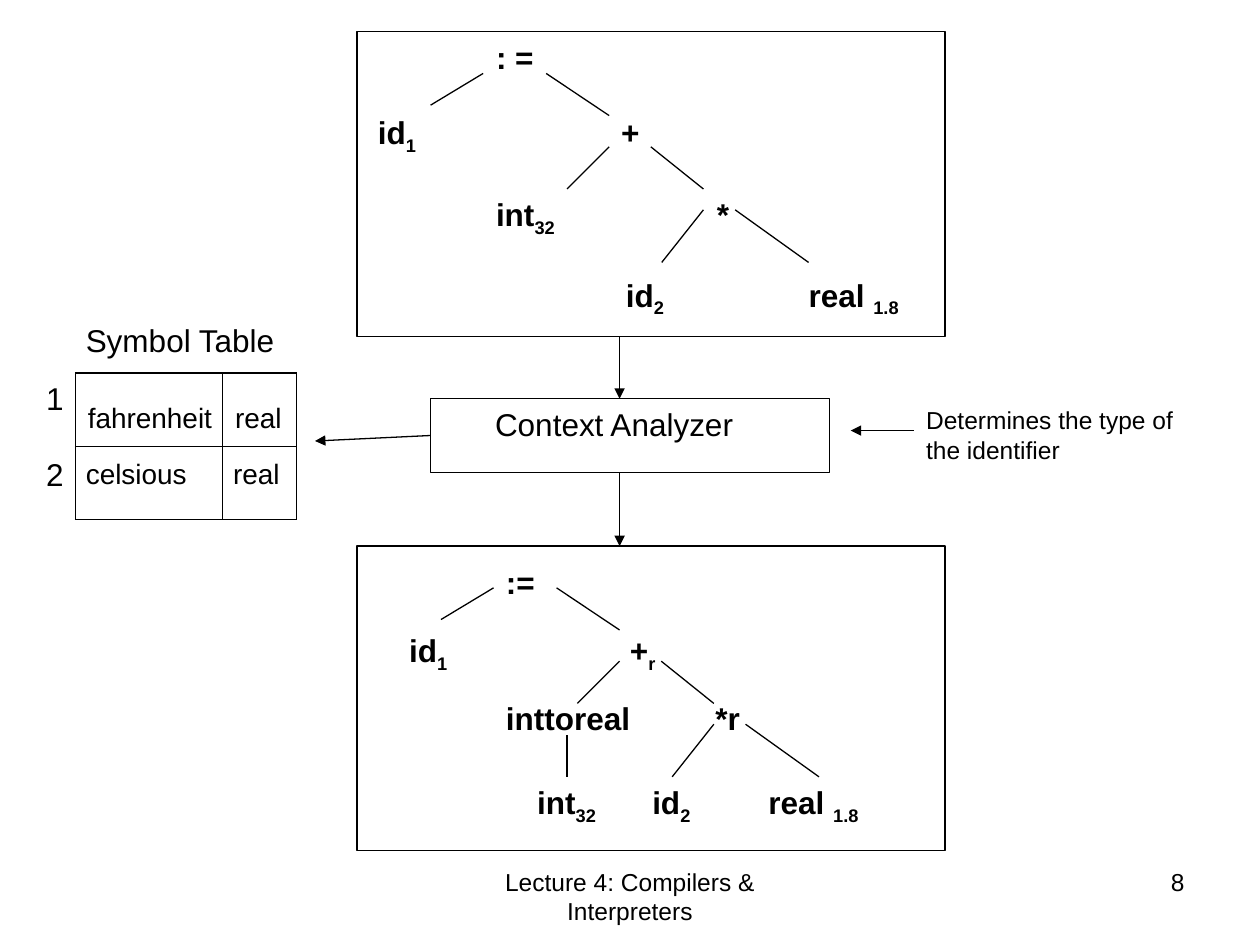
import pptx
import pptx.util
import pptx.dml.color
import pptx.enum.shapes
import pptx.enum.text
import pptx.oxml.ns
from lxml import etree

Cm, Pt, qn = pptx.util.Cm, pptx.util.Pt, pptx.oxml.ns.qn
ALIGN = pptx.enum.text.PP_ALIGN
ANCHOR = pptx.enum.text.MSO_ANCHOR
BLACK = "000000"


def paint(color, value):
    color.rgb = pptx.dml.color.RGBColor.from_string(value)


def write(tf, text, size=18, bold=False, color=BLACK, align=ALIGN.LEFT,
          anchor=ANCHOR.TOP):
    tf.word_wrap = True
    tf.vertical_anchor = anchor
    for i, row in enumerate(text.split("\n")):
        p = tf.paragraphs[0] if i == 0 else tf.add_paragraph()
        p.alignment = align
        for j, part in enumerate(row.split("_")):
            r = p.add_run()
            r.text = part
            r.font.name, r.font.size, r.font.bold = "Arial", Pt(size), bold
            paint(r.font.color, color)
            if j:
                r._r.get_or_add_rPr().set("baseline", "-25000")


prs = pptx.Presentation()
prs.slide_width, prs.slide_height = Cm(25.4), Cm(19.05)
s = prs.slides.add_slide(prs.slide_layouts[6])

boxes = []
for x, y, w, h in [(7.2, 0.64, 11.85, 6.14), (8.68, 8.04, 8.04, 1.48),
                   (7.2, 11.01, 11.85, 6.14)]:
    sp = s.shapes.add_shape(pptx.enum.shapes.MSO_SHAPE.RECTANGLE,
                            Cm(x), Cm(y), Cm(w), Cm(h))
    sp.shadow.inherit = False
    sp.fill.background()
    paint(sp.line.color, BLACK)
    sp.line.width = Pt(0.75)
    boxes.append(sp)
analyzer = boxes[1]
analyzer.text_frame.margin_left = Cm(1.3)
write(analyzer.text_frame, "Context Analyzer")

frame = s.shapes.add_table(2, 2, Cm(1.52), Cm(7.52), Cm(4.45), Cm(2.96))
tbl = frame.table
tbl.first_row = tbl.horz_banding = False
tbl.columns[0].width, tbl.columns[1].width = Cm(2.97), Cm(1.48)
symbols = [("fahrenheit", "real"), ("celsious", "real")]
for i, row in enumerate(symbols):
    for j, text in enumerate(row):
        cell = tbl.cell(i, j)
        write(cell.text_frame, text, size=16)
        cell.vertical_anchor = ANCHOR.TOP if i else ANCHOR.BOTTOM
        cell.margin_top = cell.margin_bottom = Cm(0.25)
        cell.margin_left = Cm(0.21 if i else 0.25)
        cell.margin_right = 0
        tcPr = cell._tc.get_or_add_tcPr()
        for side in ("lnL", "lnR", "lnT", "lnB"):
            ln = etree.SubElement(tcPr, qn("a:" + side), w=str(Pt(0.75)))
            fill = etree.SubElement(ln, qn("a:solidFill"))
            etree.SubElement(fill, qn("a:srgbClr"), val=BLACK)
        cell.fill.background()

source_nodes = [
    (": =", 9.75, 0.64, 1.6), ("id_1", 7.37, 2.16, 1.6), ("+", 12.27, 2.16, 1.2),
    ("int_32", 9.75, 3.8, 2), ("*", 14.2, 3.8, 1),
    ("id_2", 12.37, 5.43, 1.6), ("real _1.8", 16.05, 5.43, 2.8),
]
typed_nodes = [
    (":=", 9.95, 11.23, 1.4), ("id_1", 8, 12.6, 1.6), ("+_r", 12.45, 12.6, 1.4),
    ("inttoreal", 9.95, 13.97, 3.3), ("*r", 14.17, 13.97, 1.4),
    ("int_32", 10.58, 15.67, 2), ("id_2", 12.9, 15.67, 1.6),
    ("real _1.8", 15.24, 15.67, 2.8),
]
nodes = [(*node, 1.02, {"bold": True}) for node in source_nodes + typed_nodes]
notes = [
    ("Symbol Table", 1.48, 6.35, 4.8, 1.02, {}),
    ("1", 0.68, 7.52, 0.9, 1.02, {}),
    ("2", 0.68, 9.05, 0.9, 1.02, {}),
    ("Determines the type of\nthe identifier", 18.42, 8.05, 6, 1.45, {"size": 14}),
    ("Lecture 4: Compilers & Interpreters", 8.68, 17.35, 8.04, 1.32,
     {"size": 14, "align": ALIGN.CENTER}),
    ("8", 18.2, 17.35, 5.93, 1.32, {"size": 14, "align": ALIGN.RIGHT}),
]
for text, x, y, w, h, fmt in nodes + notes:
    sp = s.shapes.add_textbox(Cm(x), Cm(y), Cm(w), Cm(h))
    write(sp.text_frame, text, **fmt)

branches = [
    (9.74, 1.48, 8.68, 2.12), (11.01, 1.48, 12.28, 2.33),
    (12.28, 2.96, 11.43, 3.81), (13.12, 2.96, 14.18, 3.81),
    (14.18, 4.23, 13.34, 5.29), (14.82, 4.23, 16.3, 5.29),
]
lines = [(x1 + dx, y1 + dy, x2 + dx, y2 + dy, False)
         for dx, dy in [(0, 0), (0.21, 10.37)] for x1, y1, x2, y2 in branches]
lines.append((11.43, 14.82, 11.43, 15.66, False))
lines += [
    (12.49, 6.78, 12.49, 8.04, True), (12.49, 9.52, 12.49, 11.01, True),
    (18.42, 8.68, 17.15, 8.68, True), (8.68, 8.78, 6.35, 8.89, True),
]
for x1, y1, x2, y2, arrow in lines:
    c = s.shapes.add_connector(pptx.enum.shapes.MSO_CONNECTOR.STRAIGHT,
                               Cm(x1), Cm(y1), Cm(x2), Cm(y2))
    paint(c.line.color, BLACK)
    c.line.width = Pt(0.75)
    if arrow:
        etree.SubElement(c.line._get_or_add_ln(), qn("a:tailEnd"), type="triangle")
    etree.SubElement(c._element.spPr, qn("a:effectLst"))
c.begin_connect(analyzer, 1)

prs.save("out.pptx")
